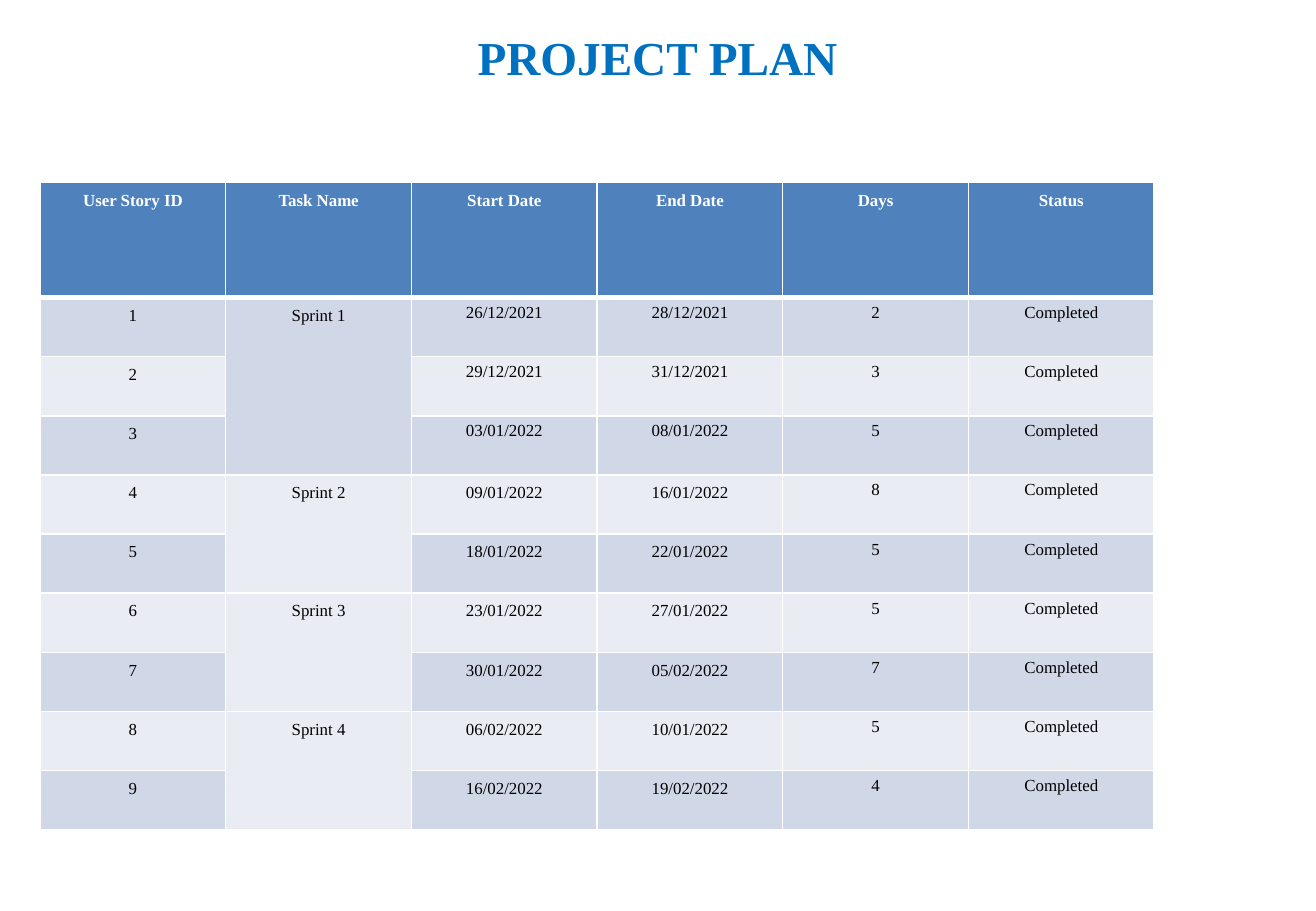
from pptx import Presentation
from pptx.dml.color import RGBColor
from pptx.enum import text
from pptx.oxml import parse_xml
from pptx.oxml.ns import nsdecls
from pptx.util import Inches, Pt

FONT = "Times New Roman"
HEADER_FILL, BAND_FILLS = "4F81BD", ("D0D8E7", "E9ECF3")
THIN, THICK = 0.96, 3
HEADINGS = ("User Story ID", "Task Name", "Start Date", "End Date", "Days", "Status")
SPRINTS = {
    "Sprint 1": [("26/12/2021", "28/12/2021", 2),
                 ("29/12/2021", "31/12/2021", 3),
                 ("03/01/2022", "08/01/2022", 5)],
    "Sprint 2": [("09/01/2022", "16/01/2022", 8),
                 ("18/01/2022", "22/01/2022", 5)],
    "Sprint 3": [("23/01/2022", "27/01/2022", 5),
                 ("30/01/2022", "05/02/2022", 7)],
    "Sprint 4": [("06/02/2022", "10/01/2022", 5),
                 ("16/02/2022", "19/02/2022", 4)],
}


def rgb(color):
    return RGBColor.from_string(color)


def style_paragraph(paragraph, size, color, bold, spacing):
    paragraph.alignment = text.PP_ALIGN.CENTER
    paragraph.line_spacing = spacing
    font = paragraph.font
    font.name, font.size, font.bold = FONT, Pt(size), bold
    font.color.rgb = rgb(color)


def add_borders(cell, top, bottom):
    """Draw white cell edges; top and bottom are widths in points."""
    properties = cell._tc.get_or_add_tcPr()
    for side, width in (("L", THIN), ("R", THIN), ("T", top), ("B", bottom)):
        properties.append(parse_xml(
            f'<a:ln{side} {nsdecls("a")} w="{Pt(width)}"><a:solidFill>'
            f'<a:srgbClr val="FFFFFF"/></a:solidFill></a:ln{side}>'))


def line_spacing(row, column):
    """IDs, tasks and headings are looser, as are dates after the first sprint."""
    first_sprint_end = len(SPRINTS["Sprint 1"])
    loose = row == 0 or column < 2 or (column < 4 and row > first_sprint_end)
    return 1.15 if loose else 1.0


def style_cell(cell, row, column):
    is_header = row == 0
    cell.margin_left = cell.margin_right = Inches(0.07)
    cell.margin_top = cell.margin_bottom = Inches(0.05)
    add_borders(cell, THICK if row == 1 else THIN, THICK if is_header else THIN)
    cell.fill.solid()
    cell.fill.fore_color.rgb = rgb(HEADER_FILL if is_header else BAND_FILLS[(row - 1) % 2])
    style_paragraph(cell.text_frame.paragraphs[0], 10,
                    "FFFFFF" if is_header else "000000", is_header,
                    line_spacing(row, column))


def add_title(slide, left, top, width, height):
    title = slide.shapes.title
    title.left, title.top, title.width, title.height = map(Inches, (left, top, width, height))
    title.text_frame.text = "PROJECT PLAN"
    title.text_frame.vertical_anchor = text.MSO_ANCHOR.MIDDLE
    style_paragraph(title.text_frame.paragraphs[0], 28, "0070C0", True, 0.9)


def add_plan(slide, left, top, width, height, header_height=0.95):
    story_count = sum(map(len, SPRINTS.values()))
    plan = slide.shapes.add_table(story_count + 1, len(HEADINGS),
                                  *map(Inches, (left, top, width, height))).table
    for column in plan.columns:
        column.width = Inches(width / len(HEADINGS))
    for row in plan.rows:
        row.height = Inches((height - header_height) / story_count)
    plan.rows[0].height = Inches(header_height)

    rows = [HEADINGS]
    for sprint, stories in SPRINTS.items():
        first = len(rows)
        for index, (start, end, days) in enumerate(stories):
            task = sprint if index == 0 else ""
            rows.append((len(rows), task, start, end, days, "Completed"))
        plan.cell(first, 1).merge(plan.cell(len(rows) - 1, 1))

    for r, values in enumerate(rows):
        for c, value in enumerate(values):
            cell = plan.cell(r, c)
            cell.text = str(value)
            style_cell(cell, r, c)


def main():
    presentation = Presentation()
    presentation.slide_width, presentation.slide_height = Inches(10.83), Inches(7.5)
    slide = presentation.slides.add_slide(presentation.slide_layouts[5])
    add_title(slide, 0.74, 0, 9.34, 0.99)
    add_plan(slide, 0.33, 1.5, 9.17, 5.33)
    presentation.save("out.pptx")


if __name__ == "__main__":
    main()
